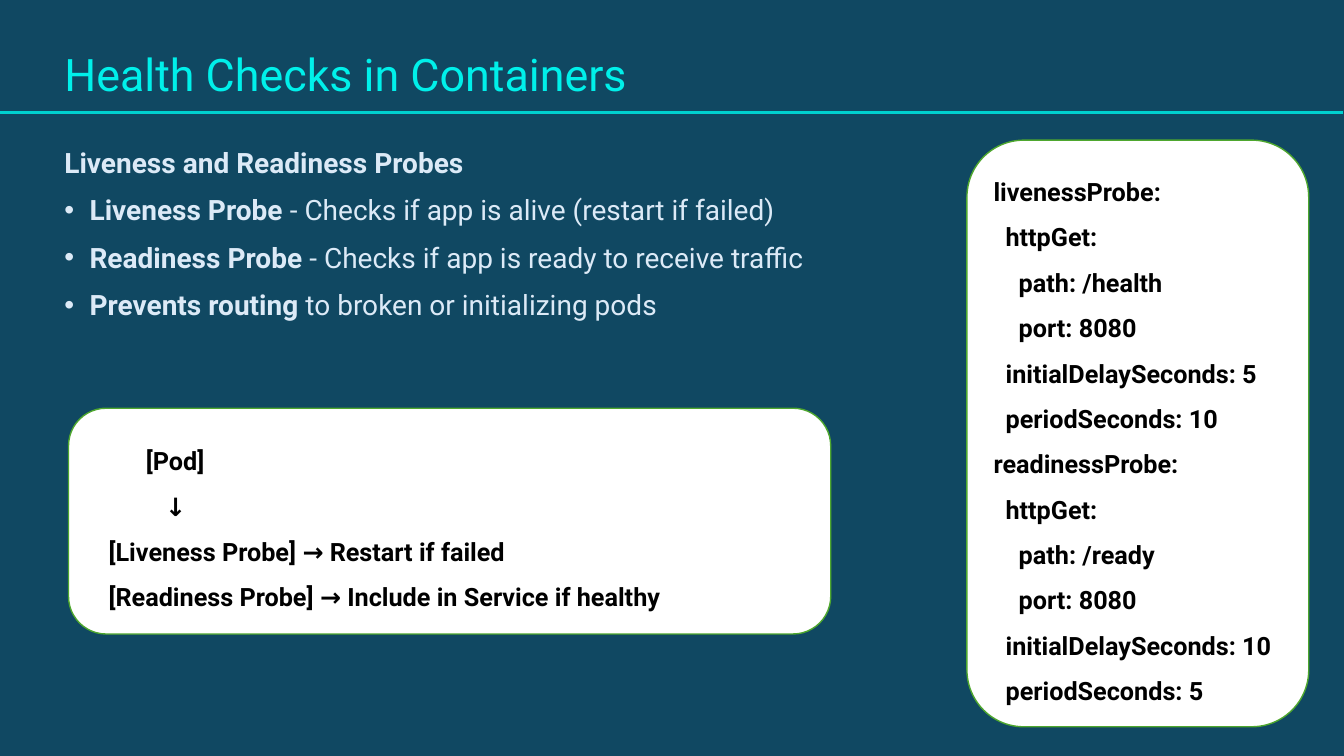
from dataclasses import dataclass

from lxml import etree
from pptx import Presentation
from pptx.dml.color import RGBColor
from pptx.enum.shapes import MSO_CONNECTOR, MSO_SHAPE
from pptx.enum.text import MSO_ANCHOR, PP_ALIGN
from pptx.oxml.ns import qn
from pptx.util import Inches, Pt

STRAIGHT = MSO_CONNECTOR.STRAIGHT
ROUNDED = MSO_SHAPE.ROUNDED_RECTANGLE
MIDDLE = MSO_ANCHOR.MIDDLE
LEFT, JUSTIFY = PP_ALIGN.LEFT, PP_ALIGN.JUSTIFY


@dataclass(frozen=True)
class Theme:
    font: str = "Roboto"
    background: RGBColor = RGBColor(0x10, 0x48, 0x62)
    title: RGBColor = RGBColor(0x00, 0xF0, 0xEA)
    rule: RGBColor = RGBColor(0x00, 0xD1, 0xCF)
    body: RGBColor = RGBColor(0xDC, 0xEA, 0xF7)
    panel: RGBColor = RGBColor(0xFF, 0xFF, 0xFF)
    panel_border: RGBColor = RGBColor(0x4E, 0xA7, 0x2E)
    panel_text: RGBColor = RGBColor(0x00, 0x00, 0x00)
    title_size: Pt = Pt(32)
    body_size: Pt = Pt(20)
    panel_size: Pt = Pt(18)


theme = Theme()


def add_run(paragraph, text, size, color, bold=False):
    run = paragraph.add_run()
    run.text = text
    run.font.name = theme.font
    run.font.size = size
    run.font.bold = bold
    run.font.color.rgb = color


def next_paragraph(frame, index, indent=0.0):
    """Return the paragraph for this index, with its left margin in inches."""
    paragraph = frame.add_paragraph() if index else frame.paragraphs[0]
    if indent:
        paragraph._p.get_or_add_pPr().set("marL", str(Inches(indent)))
    return paragraph


presentation = Presentation()
presentation.slide_width = Inches(13.33)
presentation.slide_height = Inches(7.5)
slide = presentation.slides.add_slide(presentation.slide_layouts[6])
slide.background.fill.solid()
slide.background.fill.fore_color.rgb = theme.background

# Title and rule
rule = slide.shapes.add_connector(
    STRAIGHT, Inches(-0.01), Inches(1.12), Inches(13.32), Inches(1.12))
rule.line.color.rgb = theme.rule
rule.line.width = Pt(2)
etree.SubElement(rule._element.spPr, qn("a:effectLst"))

title_box = slide.shapes.add_textbox(
    Inches(0.54), Inches(0.47), Inches(12.16), Inches(0.58))
title_box.text_frame.word_wrap = True
title = title_box.text_frame.paragraphs[0]
title.line_spacing = 0.9
title.space_before = Pt(10)
add_run(title, "Health Checks in Containers", theme.title_size, theme.title)

# Heading and bullets
points = [
    ("Liveness and Readiness Probes", ""),
    ("Liveness Probe", " - Checks if app is alive (restart if failed)"),
    ("Readiness Probe", " - Checks if app is ready to receive traffic"),
    ("Prevents routing", " to broken or initializing pods"),
]
body_box = slide.shapes.add_textbox(
    Inches(0.54), Inches(1.39), Inches(8.08), Inches(2.2))
body_box.text_frame.word_wrap = True
for index, (term, detail) in enumerate(points):
    paragraph = next_paragraph(body_box.text_frame, index, 0.25 if detail else 0)
    paragraph.space_before = Pt(10)
    add_run(paragraph, term, theme.body_size, theme.body, bold=True)
    if detail:
        properties = paragraph._p.get_or_add_pPr()
        properties.set("indent", str(Inches(-0.25)))
        etree.SubElement(properties, qn("a:buFont"), typeface="Arial")
        etree.SubElement(properties, qn("a:buChar"), char="•")
        add_run(paragraph, detail, theme.body_size, theme.body)

# Panels: each line is (left indent in inches, text)
probe_settings = [
    (0, "livenessProbe:"),
    (0.12, "httpGet:"),
    (0.25, "path: /health"),
    (0.25, "port: 8080"),
    (0.12, "initialDelaySeconds: 5"),
    (0.12, "periodSeconds: 10"),
    (0, "readinessProbe:"),
    (0.12, "httpGet:"),
    (0.25, "path: /ready"),
    (0.25, "port: 8080"),
    (0.12, "initialDelaySeconds: 10"),
    (0.12, "periodSeconds: 5"),
]
probe_flow = [
    (0.56, "[Pod]"),
    (0.75, "↓"),
    (0.19, "[Liveness Probe] → Restart if failed"),
    (0.19, "[Readiness Probe] → Include in Service if healthy"),
]
panels = [
    ((9.59, 1.39, 3.39, 5.82), JUSTIFY, probe_settings),
    ((0.68, 4.05, 7.56, 2.24), LEFT, probe_flow),
]
for bounds, alignment, lines in panels:
    panel = slide.shapes.add_shape(ROUNDED, *map(Inches, bounds))
    panel.shadow.inherit = False
    panel.fill.solid()
    panel.fill.fore_color.rgb = theme.panel
    panel.line.color.rgb = theme.panel_border
    panel.line.width = Pt(1)
    panel.text_frame.word_wrap = True
    panel.text_frame.vertical_anchor = MIDDLE
    for index, (indent, text) in enumerate(lines):
        paragraph = next_paragraph(panel.text_frame, index, indent)
        paragraph.alignment = alignment
        paragraph.line_spacing = 1.5
        add_run(paragraph, text, theme.panel_size, theme.panel_text, bold=True)

presentation.save("out.pptx")
